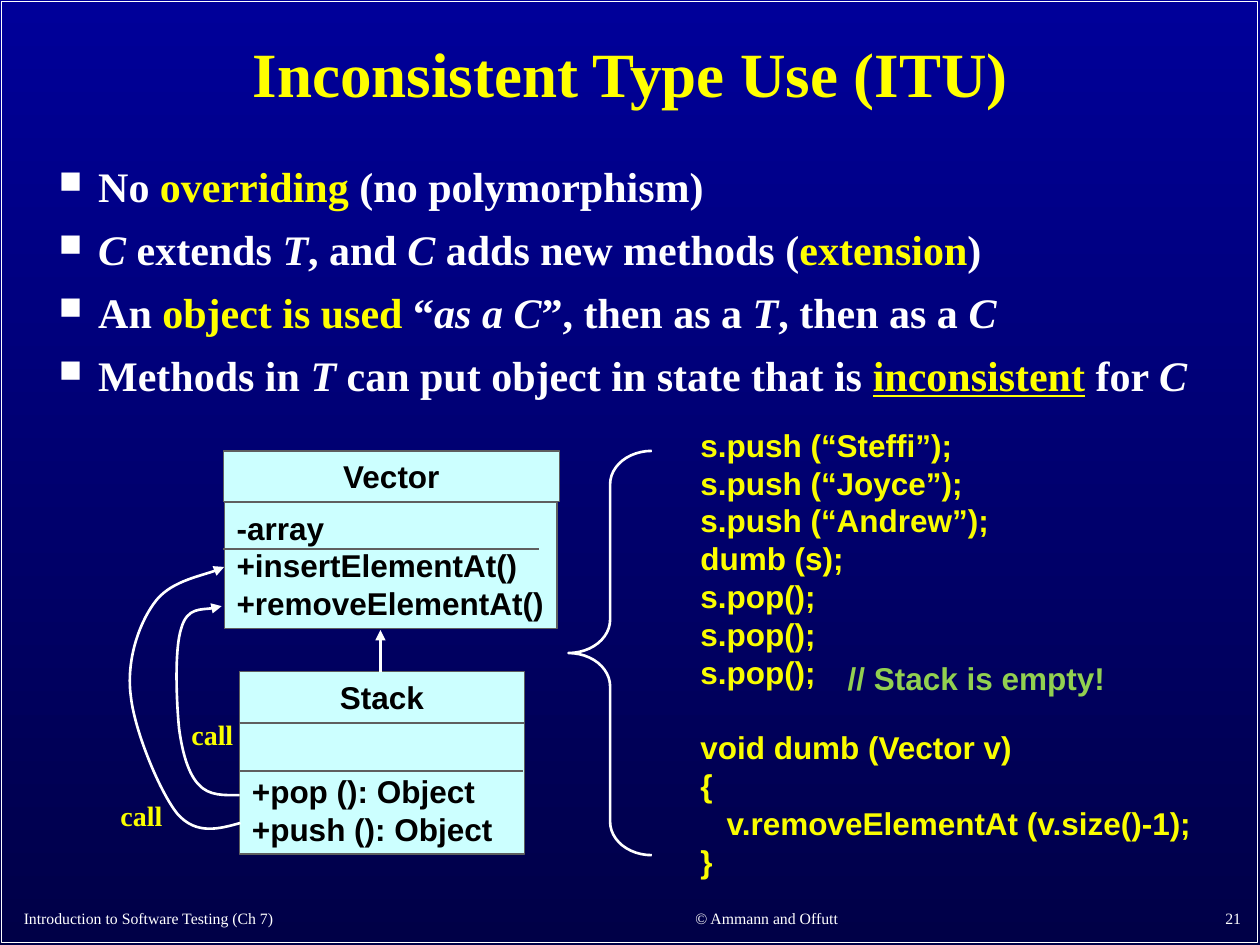
"""Build the slide on inconsistent type use, with its class diagram and code."""
from dataclasses import dataclass

from lxml.etree import SubElement
from pptx import Presentation
from pptx.dml.color import RGBColor
from pptx.enum.shapes import MSO_CONNECTOR, MSO_SHAPE
from pptx.enum.text import MSO_ANCHOR as Anchor, PP_ALIGN as Align
from pptx.oxml.ns import qn
from pptx.util import Cm, Pt


@dataclass(frozen=True)
class Theme:
    serif: str = "Times New Roman"
    sans: str = "Arial"
    sky: RGBColor = RGBColor(0x00, 0x00, 0x99)
    night: RGBColor = RGBColor(0x00, 0x00, 0x47)
    white: RGBColor = RGBColor(0xFF, 0xFF, 0xFF)
    black: RGBColor = RGBColor(0x00, 0x00, 0x00)
    yellow: RGBColor = RGBColor(0xFF, 0xFF, 0x00)
    lemon: RGBColor = RGBColor(0xFA, 0xFD, 0x00)
    green: RGBColor = RGBColor(0x92, 0xD0, 0x50)
    cyan: RGBColor = RGBColor(0xCC, 0xFF, 0xFF)
    grey: RGBColor = RGBColor(0x5F, 0x5F, 0x5F)
    title: int = 36
    bullet: int = 24
    code: int = 18
    call: int = 16
    footer: int = 9


theme = Theme()


def write(shape, text, family, size, color, bold=True, align=Align.LEFT, anchor=Anchor.TOP):
    frame = shape.text_frame
    frame.word_wrap = True
    frame.vertical_anchor = anchor
    if align == Align.LEFT:
        frame.margin_right = 0
    frame.text = text
    for paragraph in frame.paragraphs:
        paragraph.alignment = align
        paragraph.line_spacing = Pt(size * 1.2)
        for run in paragraph.runs:
            run.font.name, run.font.size, run.font.bold = family, Pt(size), bold
            run.font.color.rgb = color


def stroke(shape, color, width, arrow=False):
    shape.line.color.rgb = color
    shape.line.width = Pt(width)
    properties = shape._element.spPr
    if arrow:
        SubElement(properties.find(qn("a:ln")), qn("a:tailEnd"), type="triangle")
    if properties.find(qn("a:effectLst")) is None:
        SubElement(properties, qn("a:effectLst"))


deck = Presentation()
deck.slide_width, deck.slide_height = Cm(25.4), Cm(19.05)
slide = deck.slides.add_slide(deck.slide_layouts[5])
shapes = slide.shapes

backdrop = slide.background.fill
backdrop.gradient()
backdrop.gradient_angle = 270
for stop, color in zip(backdrop.gradient_stops, (theme.sky, theme.night)):
    stop.color.rgb = color

border = shapes.add_shape(MSO_SHAPE.RECTANGLE, Cm(0.03), Cm(0.03), Cm(25.32), Cm(18.97))
border.fill.background()
stroke(border, theme.white, 1)

for words, left, width, align in (
    ("Introduction to Software Testing (Ch 7)", 0.23, 10.77, Align.LEFT),
    ("© Ammann and Offutt", 11.43, 8.05, Align.CENTER),
    ("21", 19.99, 5.28, Align.RIGHT),
):
    footer = shapes.add_textbox(Cm(left), Cm(18.12), Cm(width), Cm(0.7))
    write(footer, words, theme.serif, theme.footer, theme.white, False, align, Anchor.BOTTOM)

title = shapes.title
title.left, title.top, title.width, title.height = Cm(0.25), Cm(0.28), Cm(24.92), Cm(2.54)
write(title, "Inconsistent Type Use (ITU)", theme.serif, theme.title, theme.yellow,
      align=Align.CENTER, anchor=Anchor.MIDDLE)
title.text_frame.paragraphs[0].line_spacing = 0.9

points = (
    (("No ", ""), ("overriding", "y"), (" (no polymorphism)", "")),
    (("C", "i"), (" extends ", ""), ("T", "i"), (", and ", ""), ("C", "i"),
     (" adds new methods (", ""), ("extension", "y"), (")", "")),
    (("An ", ""), ("object is used", "y"), (" “", ""), ("as a C", "i"),
     ("”, then as a ", ""), ("T", "i"), (", then as a ", ""), ("C", "i")),
    (("Methods in ", ""), ("T", "i"), (" can put object in state that is ", ""),
     ("inconsistent", "yu"), (" for ", ""), ("C", "i")),
)
traits = shapes.add_textbox(Cm(0.94), Cm(3.23), Cm(23.52), Cm(6.3)).text_frame
traits.word_wrap = True
for index, point in enumerate(points):
    paragraph = traits.add_paragraph() if index else traits.paragraphs[0]
    layout = paragraph._p.get_or_add_pPr()
    layout.set("marL", str(Cm(0.79)))
    layout.set("indent", str(-Cm(0.79)))
    SubElement(SubElement(layout, qn("a:buClr")), qn("a:srgbClr"), val=str(theme.white))
    SubElement(layout, qn("a:buSzPct"), val="75000")
    SubElement(layout, qn("a:buChar"), char="■")
    paragraph.line_spacing = 0.9
    if index:
        paragraph.space_before = Pt(10)
    for words, marks in point:
        run = paragraph.add_run()
        run.text = words
        font = run.font
        font.name, font.size, font.bold = theme.serif, Pt(theme.bullet), True
        font.italic, font.underline = "i" in marks, "u" in marks
        font.color.rgb = theme.yellow if "y" in marks else theme.white

for words, left, top, width, height, align, anchor in (
    ("Vector", 4.5, 9.09, 6.78, 1.02, Align.CENTER, Anchor.TOP),
    ("-array\n+insertElementAt()\n+removeElementAt()", 4.52, 10.13, 6.71, 2.54,
     Align.LEFT, Anchor.TOP),
    ("Stack", 4.83, 13.54, 5.74, 1.02, Align.CENTER, Anchor.TOP),
    ("+pop (): Object\n+push (): Object", 4.83, 14.58, 5.74, 2.64, Align.LEFT, Anchor.BOTTOM),
):
    compartment = shapes.add_shape(MSO_SHAPE.RECTANGLE, Cm(left), Cm(top), Cm(width), Cm(height))
    compartment.fill.solid()
    compartment.fill.fore_color.rgb = theme.cyan
    stroke(compartment, theme.grey, 0.75)
    write(compartment, words, theme.sans, theme.code, theme.black, align=align, anchor=anchor)

for x1, y1, x2, y2, color, width, arrow in (
    (4.5, 11.07, 10.87, 11.07, theme.grey, 0.75, False),
    (4.83, 15.54, 10.54, 15.54, theme.grey, 0.75, False),
    (7.67, 13.54, 7.67, 12.7, theme.white, 1.5, True),
):
    link = shapes.add_connector(MSO_CONNECTOR.STRAIGHT, Cm(x1), Cm(y1), Cm(x2), Cm(y2))
    stroke(link, color, width, arrow)

pop_call = ((4.83, 16.03), (4.52, 16.03), (4.22, 16.05), (4.01, 15.82), (3.81, 15.62),
            (3.68, 15.21), (3.61, 14.68), (3.56, 14.17), (3.51, 13.08), (3.66, 12.65),
            (3.78, 12.24), (4.32, 12.29), (4.47, 12.22))
push_call = ((4.85, 16.59), (4.42, 16.71), (3.96, 16.84), (3.58, 16.41), (3.23, 15.98),
             (2.72, 14.76), (2.64, 14.05), (2.54, 13.34), (2.79, 12.6), (3.1, 12.17),
             (3.4, 11.73), (4.29, 11.56), (4.52, 11.43))
for route in (pop_call, push_call):
    start, *controls = [(Cm(x), Cm(y)) for x, y in route]
    builder = shapes.build_freeform(*start)
    builder.add_line_segments(controls, close=False)
    call_arrow = builder.convert_to_shape()
    outline = call_arrow._element.find(".//" + qn("a:path"))
    segments = outline.findall(qn("a:lnTo"))
    for first in range(0, len(segments), 3):
        curve = SubElement(outline, qn("a:cubicBezTo"))
        for segment in segments[first:first + 3]:
            curve.append(segment[0])
            outline.remove(segment)
    call_arrow.fill.background()
    stroke(call_arrow, theme.white, 1.5, True)

for left, top in ((2.18, 15.98), (3.61, 14.35)):
    call_label = shapes.add_textbox(Cm(left), Cm(top), Cm(1.6), Cm(0.94))
    write(call_label, "call", theme.serif, theme.call, theme.lemon)

remark = shapes.add_textbox(Cm(16.84), Cm(13.16), Cm(5.9), Cm(1.02))
write(remark, "// Stack is empty!", theme.sans, theme.code, theme.green)

program = """s.push (“Steffi”);
s.push (“Joyce”);
s.push (“Andrew”);
dumb (s);
s.pop();
s.pop();
s.pop();
void dumb (Vector v)
{
   v.removeElementAt (v.size()-1);
}"""
listing = shapes.add_textbox(Cm(13.87), Cm(8.46), Cm(10.49), Cm(9.4))
write(listing, program, theme.sans, theme.code, theme.lemon)
code_lines = listing.text_frame.paragraphs
code_lines[3].runs[0].font.color.rgb = theme.yellow
code_lines[7].space_before = Pt(theme.code * 1.2)

brace = shapes.add_shape(MSO_SHAPE.LEFT_BRACE, Cm(11.46), Cm(9.09), Cm(1.68), Cm(8.15))
brace.adjustments[0] = 0.4
brace.fill.background()
stroke(brace, theme.white, 1.5)

deck.save("out.pptx")
